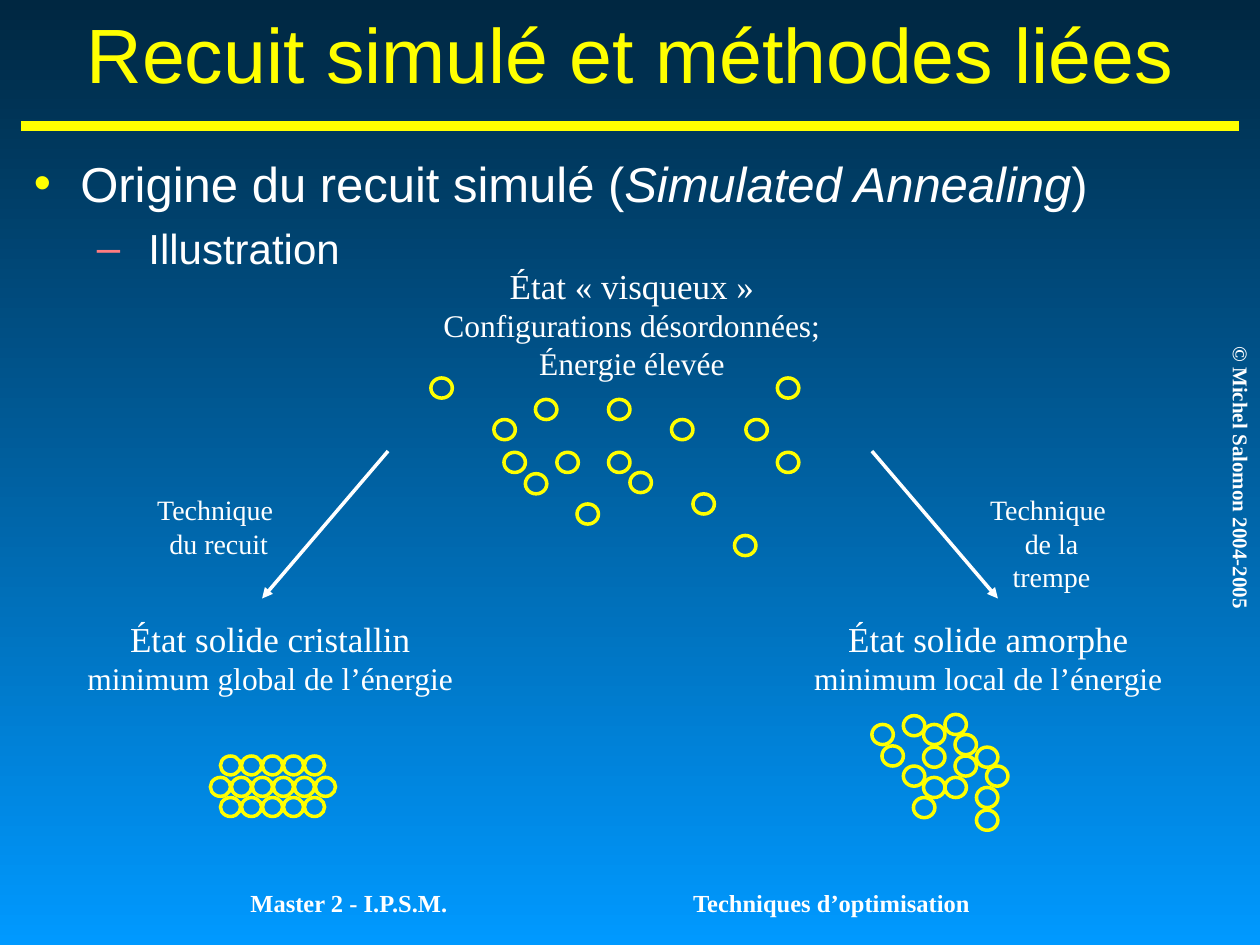
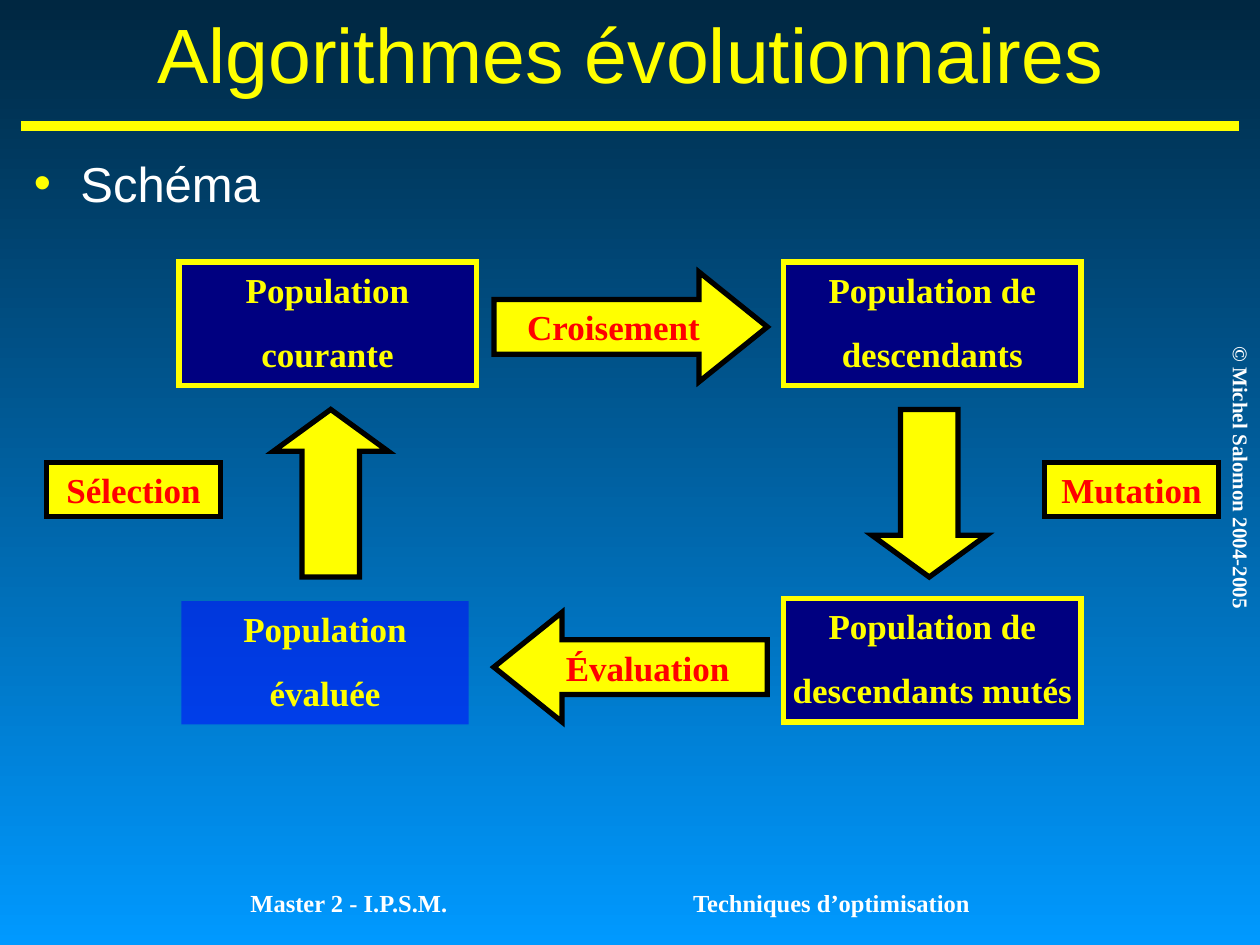
from dataclasses import dataclass
from typing import Any, Optional

from lxml import etree
from pptx import Presentation
from pptx.dml.color import RGBColor
from pptx.enum import shapes, text
from pptx.oxml import ns
from pptx.util import Inches, Pt

NIGHT = RGBColor(0x00, 0x27, 0x41)
SKY = RGBColor(0x00, 0x99, 0xFF)
YELLOW = RGBColor(0xFF, 0xFF, 0x00)
WHITE = RGBColor(0xFF, 0xFF, 0xFF)
BLACK = RGBColor(0x00, 0x00, 0x00)
RED = RGBColor(0xFF, 0x00, 0x00)
CORAL = RGBColor(0xFF, 0x7C, 0x80)
NAVY = RGBColor(0x00, 0x00, 0x80)
BLUE = RGBColor(0x00, 0x00, 0xFF)
SANS = "Arial"
SERIF = "Times New Roman"
SHAPE = shapes.MSO_SHAPE
TOP = text.MSO_ANCHOR.TOP
MIDDLE = text.MSO_ANCHOR.MIDDLE
CENTER = text.PP_ALIGN.CENTER
LEFT = text.PP_ALIGN.LEFT


@dataclass(frozen=True)
class Area:
    left: float
    top: float
    width: float
    height: float

    def lengths(self) -> tuple:
        return tuple(Inches(v) for v in (self.left, self.top, self.width, self.height))


@dataclass(frozen=True)
class Style:
    size: float
    color: RGBColor = WHITE
    name: str = SERIF
    bold: bool = False
    italic: bool = False


@dataclass(frozen=True)
class Bullet:
    mark: str
    color: RGBColor
    level: int
    margin: float
    hanging: float
    before: float


@dataclass(frozen=True)
class Line:
    spans: tuple[tuple[str, Style], ...]
    bullet: Optional[Bullet] = None
    before: float = 0


@dataclass(frozen=True)
class Block:
    area: Area
    lines: tuple[str, ...] = ()
    kind: SHAPE = SHAPE.RECTANGLE
    fill: RGBColor = YELLOW
    outline: Optional[RGBColor] = BLACK
    color: RGBColor = RED
    anchor: text.MSO_ANCHOR = TOP
    wrap: bool = True
    opacity: Optional[int] = None
    head: Optional[float] = None


TITLE = Style(44, YELLOW, SANS)
TOPIC = Style(28, WHITE, SANS)
TOPIC_ITALIC = Style(28, WHITE, SANS, italic=True)
DETAIL = Style(24, WHITE, SANS)
DOT = Bullet("•", YELLOW, 0, 0.37, 0.37, 7)
DASH = Bullet("–", CORAL, 1, 0.91, 0.41, 6)

FOOTERS = (
    ("Techniques d’optimisation", Area(4.83, 7, 3.54, 0.25), 14, 0),
    ("Master 2 - I.P.S.M.", Area(1, 7, 3.54, 0.25), 14, 0),
    ("© Michel Salomon 2004-2005", Area(8.39, 3.64, 2.92, 0.3), 12, 90),
)

CAPTIONS = (
    (Area(3.42, 2.05, 3.19, 1.04),
     (("État «\u00a0visqueux\u00a0»", 20), ("Configurations désordonnées;", 18), ("Énergie élevée", 18))),
    (Area(0.59, 4.85, 3.11, 0.74),
     (("État solide cristallin", 20), ("minimum global de l’énergie", 18))),
    (Area(6.36, 4.85, 2.97, 0.74),
     (("État solide amorphe", 20), ("minimum local de l’énergie", 18))),
    (Area(1.14, 3.86, 1.19, 0.64), (("Technique ", 16), ("du recuit", 16))),
    (Area(7.7, 3.86, 1.29, 0.64), (("Technique ", 16), ("de la trempe", 16))),
)

VISCOUS = (
    (4, 3.59), (4.25, 3.17), (4.17, 3.76), (4.42, 3.59), (4.83, 3.17), (4.58, 4),
    (3.92, 3.33), (4.83, 3.59), (5.33, 3.33), (6.17, 3), (5.92, 3.33), (5.5, 3.92),
    (5.83, 4.25), (5, 3.75), (6.17, 3.59), (3.42, 3),
)
AMORPHOUS = (
    (7.17, 5.68), (7.33, 5.75), (7.33, 5.93), (6.92, 5.75), (7, 5.92), (7.17, 6.08),
    (7.33, 6.17), (7.25, 6.33), (7.5, 6.17), (7.58, 6), (7.58, 5.83), (7.5, 5.67),
    (7.75, 5.93), (7.83, 6.08), (7.75, 6.25), (7.75, 6.43),
)
CRYSTAL_ROWS = ((1.67, 6.17, 6), (1.75, 6, 5), (1.75, 6.33, 5))
CRYSTAL = tuple((left + i / 6, top) for left, top, count in CRYSTAL_ROWS for i in range(count))


def population(left: float, top: float, *lines: str) -> Block:
    return Block(Area(left, top, 2.36, 0.98), lines, fill=NAVY, outline=YELLOW,
                 color=YELLOW, wrap=False)


def flow(top: float, label: str, kind: SHAPE) -> Block:
    return Block(Area(3.92, top, 2.17, 0.87), (label,), kind, anchor=MIDDLE, head=0.622)


def side_step(arrow_left: float, kind: SHAPE, label_left: float, label: str) -> tuple[Block, Block]:
    return (Block(Area(arrow_left, 3.25, 0.91, 1.33), kind=kind, head=0.364),
            Block(Area(label_left, 3.67, 1.38, 0.43), (label,)))


CYCLE = (
    population(1.42, 2.08, "Population", "courante"),
    population(6.22, 2.08, "Population de", "descendants"),
    population(6.22, 4.75, "Population de", "descendants mutés"),
    Block(Area(1.44, 4.77, 2.28, 0.98), ("Population", "évaluée"), fill=BLUE, outline=None,
          color=YELLOW, wrap=False, opacity=50),
    flow(2.16, "Croisement", SHAPE.RIGHT_ARROW),
    flow(4.86, "Évaluation", SHAPE.LEFT_ARROW),
)
SIDE_STEPS = (
    side_step(2.17, SHAPE.UP_ARROW, 0.37, "Sélection"),
    side_step(6.92, SHAPE.DOWN_ARROW, 8.29, "Mutation"),
)


def assign(target: Any, values: dict[str, Any]) -> None:
    for key, value in values.items():
        setattr(target, key, value)


def child(parent: Any, tag: str, **attributes: str) -> Any:
    return etree.SubElement(parent, ns.qn(tag), attributes)


def add_bullet(para: Any, bullet: Bullet) -> None:
    properties = para._p.get_or_add_pPr()
    properties.set("marL", str(Inches(bullet.margin)))
    properties.set("indent", str(-Inches(bullet.hanging)))
    child(child(properties, "a:buClr"), "a:srgbClr", val=str(bullet.color))
    child(properties, "a:buFont", typeface=SANS)
    child(properties, "a:buChar", char=bullet.mark)
    para.level = bullet.level


def write(box: Any, lines: tuple[Line, ...], align: text.PP_ALIGN = CENTER,
          anchor: text.MSO_ANCHOR = TOP, wrap: bool = True) -> None:
    frame = box.text_frame
    assign(frame, {"word_wrap": wrap, "vertical_anchor": anchor})
    for index, line in enumerate(lines):
        para = frame.add_paragraph() if index else frame.paragraphs[0]
        if line.bullet:
            add_bullet(para, line.bullet)
        para.alignment = align
        if index:
            para.space_before = Pt(line.bullet.before if line.bullet else line.before)
        for words, style in line.spans:
            span = para.add_run()
            span.text = words
            assign(span.font, {"name": style.name, "size": Pt(style.size),
                               "bold": style.bold, "italic": style.italic})
            span.font.color.rgb = style.color


def add_text(page: Any, area: Area, lines: tuple[Line, ...], **layout: Any) -> Any:
    box = page.shapes.add_textbox(*area.lengths())
    write(box, lines, **layout)
    return box


def add_line(page: Any, start: tuple[float, float], end: tuple[float, float],
             color: RGBColor, width: float, arrow: bool = False) -> None:
    points = (Inches(v) for v in start + end)
    connector = page.shapes.add_connector(shapes.MSO_CONNECTOR.STRAIGHT, *points)
    connector.line.color.rgb = color
    connector.line.width = Pt(width)
    properties = connector.element.spPr
    if arrow:
        child(properties.find(ns.qn("a:ln")), "a:tailEnd", type="triangle")
    child(properties, "a:effectLst")


def add_outlined(holder: Any, kind: SHAPE, area: Area, color: Optional[RGBColor], width: float) -> Any:
    shape = holder.shapes.add_shape(kind, *area.lengths())
    shape.shadow.inherit = False
    if color is None:
        shape.line.fill.background()
    else:
        shape.line.color.rgb = color
        shape.line.width = Pt(width)
        child(shape.element.spPr.find(ns.qn("a:ln")), "a:miter", lim="800000")
    return shape


def add_particles(holder: Any, places: tuple, width: float, height: float) -> None:
    for left, top in places:
        particle = add_outlined(holder, SHAPE.OVAL, Area(left, top, width, height), YELLOW, 2)
        particle.fill.background()


def add_block(holder: Any, block: Block) -> None:
    shape = add_outlined(holder, block.kind, block.area, block.outline, 3)
    shape.fill.solid()
    shape.fill.fore_color.rgb = block.fill
    if block.opacity is not None:
        tint = shape.element.spPr.find(ns.qn("a:solidFill")).find(ns.qn("a:srgbClr"))
        child(tint, "a:alpha", val=str(block.opacity * 1000))
    if block.head is not None:
        shape.adjustments[0] = 0.5
        shape.adjustments[1] = block.head
    if block.lines:
        style = Style(20, block.color, bold=True)
        lines = tuple(Line(((words, style),), before=12.5) for words in block.lines)
        write(shape, lines, anchor=block.anchor, wrap=block.wrap)


def add_page(deck: Any, title: str, topics: tuple[Line, ...], body_height: float) -> Any:
    page = deck.slides.add_slide(deck.slide_layouts[6])
    backdrop = page.background.fill
    backdrop.gradient()
    backdrop.gradient_angle = 270
    for stop, color, position in zip(backdrop.gradient_stops, (NIGHT, SKY), (0, 1)):
        stop.color.rgb = color
        stop.position = position
    add_line(page, (0.17, 1), (9.83, 1), YELLOW, 6)
    for words, area, size, rotation in FOOTERS:
        footer = add_text(page, area, (Line(((words, Style(size, bold=True)),)),))
        footer.rotation = rotation
    add_text(page, Area(0.17, 0, 9.67, 0.83), (Line(((title, TITLE),)),), anchor=MIDDLE)
    add_text(page, Area(0.17, 1.17, 9.67, body_height), topics, align=LEFT)
    return page


def build_annealing(deck: Any) -> None:
    origin = (("Origine du recuit simulé (", TOPIC), ("Simulated Annealing", TOPIC_ITALIC), (")", TOPIC))
    topics = (Line(origin, DOT), Line((("Illustration", DETAIL),), DASH))
    page = add_page(deck, "Recuit simulé et méthodes liées", topics, 1.08)
    for area, lines in CAPTIONS:
        add_text(page, area, tuple(Line(((words, Style(size)),)) for words, size in lines), wrap=False)
    add_particles(page, VISCOUS, 0.17, 0.16)
    for start, end in ((3.08, 2.08), (6.92, 7.92)):
        add_line(page, (start, 3.58), (end, 4.75), WHITE, 2, arrow=True)
    add_particles(page.shapes.add_group_shape(), CRYSTAL, 0.16, 0.15)
    add_particles(page, AMORPHOUS, 0.17, 0.16)


def build_evolution(deck: Any) -> None:
    page = add_page(deck, "Algorithmes évolutionnaires", (Line((("Schéma", TOPIC),), DOT),), 5.5)
    for block in CYCLE:
        add_block(page, block)
    for step in SIDE_STEPS:
        group = page.shapes.add_group_shape()
        for block in step:
            add_block(group, block)


def main() -> None:
    deck = Presentation()
    assign(deck, {"slide_width": Inches(10), "slide_height": Inches(7.5)})
    build_annealing(deck)
    build_evolution(deck)
    deck.save("out.pptx")


if __name__ == "__main__":
    main()
